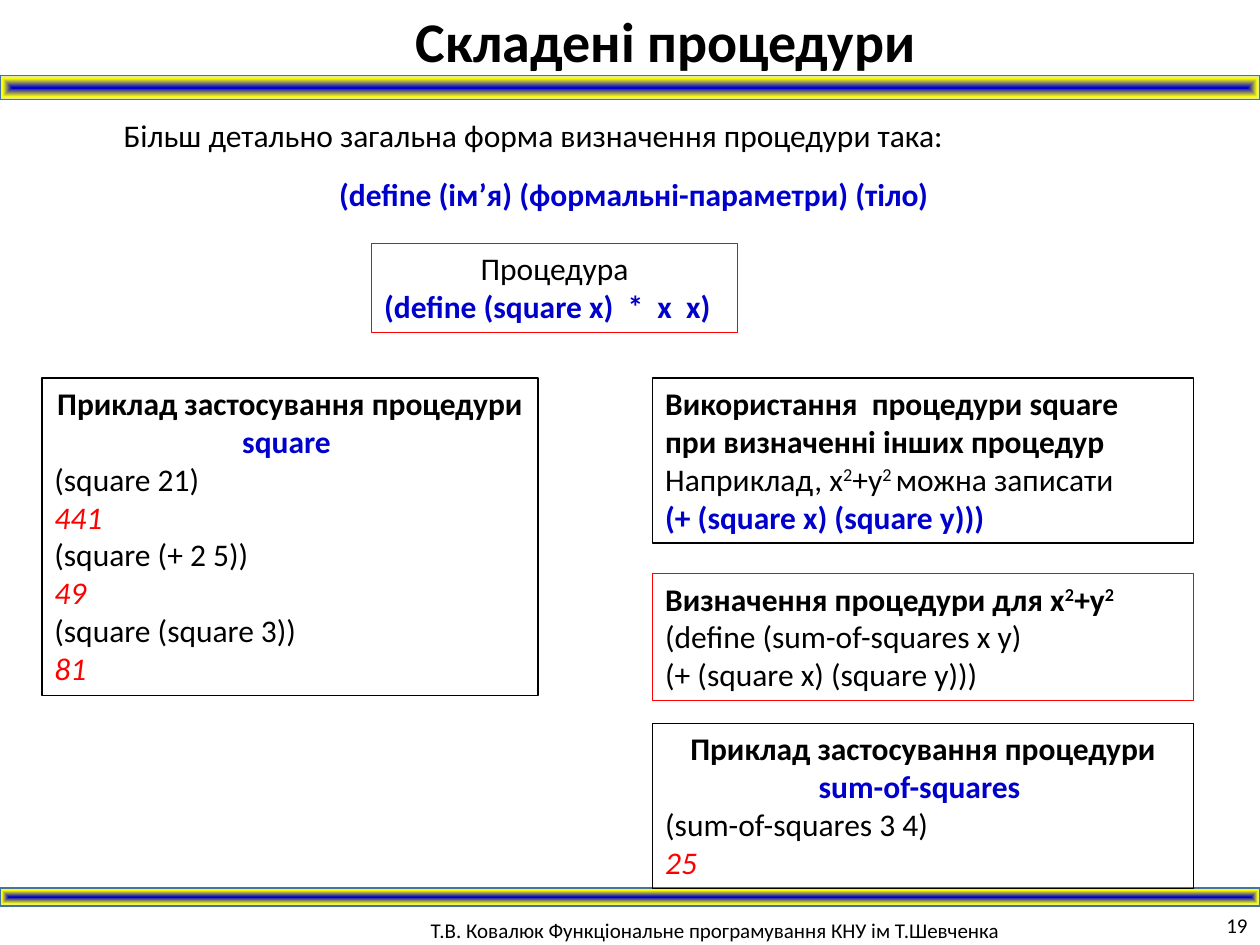
from lxml import etree
from pptx import Presentation
from pptx import util as u
from pptx.dml.color import RGBColor
from pptx.enum import shapes, text
from pptx.oxml import ns

BLACK = RGBColor(0x00, 0x00, 0x00)
BLUE = RGBColor(0x00, 0x00, 0xCC)
RED = RGBColor(0xFF, 0x00, 0x00)
YELLOW = RGBColor(0xFF, 0xFF, 0x00)
PALE = RGBColor(0xCE, 0xE1, 0xF2)
STEEL = RGBColor(0x43, 0x73, 0x9E)

PLAIN = {}
BOLD = {"bold": True}
KEY = {"bold": True, "color": BLUE}
RESULT = {"italic": True, "color": RED}
SUP = {"sup": True}
BOLD_SUP = {"bold": True, "sup": True}
CENTER, RIGHT = text.PP_ALIGN.CENTER, text.PP_ALIGN.RIGHT


def line(content, fmt=PLAIN, indent=0, **para):
    """One paragraph: a string, or a list of (string, format) runs."""
    runs = [(content, fmt)] if isinstance(content, str) else content
    return runs, indent, para


class Deck:
    font = "Calibri"
    size = 18

    def __init__(self, prs):
        self.slide = prs.slides.add_slide(prs.slide_layouts[5])

    def put_text(self, tf, lines, size=None, anchor=text.MSO_ANCHOR.TOP):
        frame = {"word_wrap": True, "vertical_anchor": anchor,
                 "auto_size": text.MSO_AUTO_SIZE.NONE}
        for name, value in frame.items():
            setattr(tf, name, value)
        for i, (runs, indent, para) in enumerate(lines):
            p = tf.add_paragraph() if i else tf.paragraphs[0]
            for name, value in {"alignment": text.PP_ALIGN.LEFT, **para}.items():
                setattr(p, name, value)
            if indent:
                p._p.get_or_add_pPr().set("marL", str(u.Pt(indent)))
            for content, fmt in runs:
                self.run(p, content, fmt, size or self.size)

    def run(self, p, content, fmt, size):
        r = p.add_run()
        r.text = content
        values = {"name": self.font, "size": u.Pt(size),
                  "bold": fmt.get("bold", False), "italic": fmt.get("italic", False)}
        for name, value in values.items():
            setattr(r.font, name, value)
        r.font.color.rgb = fmt.get("color", BLACK)
        if fmt.get("sup"):
            r._r.get_or_add_rPr().set("baseline", "30000")

    def title(self, content, at, size):
        sp = self.slide.shapes.title
        sp.left, sp.top, sp.width, sp.height = map(u.Pt, at)
        sp.text_frame.margin_right = 0
        self.put_text(sp.text_frame, [line(content, BOLD)], size)

    def label(self, at, lines, **options):
        sp = self.slide.shapes.add_textbox(*map(u.Pt, at))
        self.put_text(sp.text_frame, lines, **options)

    def rect(self, at, color, width):
        sp = self.slide.shapes.add_shape(shapes.MSO_SHAPE.RECTANGLE, *map(u.Pt, at))
        sp.shadow.inherit = False
        sp.line.color.rgb = color
        sp.line.width = u.Pt(width)
        return sp

    def box(self, at, lines, color=BLACK):
        sp = self.rect(at, color, 0.75)
        sp.fill.background()
        self.put_text(sp.text_frame, lines)

    def band(self, top, height):
        """Full-width bar shaded from a blue core to a yellow edge."""
        sp = self.rect((0, top, 720, height), STEEL, 1)
        sp.fill.gradient()
        grad = sp._element.spPr.find(ns.qn("a:gradFill"))
        for child in list(grad):
            grad.remove(child)
        stops = etree.SubElement(grad, ns.qn("a:gsLst"))
        for pos, color in ((0, BLUE), (77, YELLOW), (100, PALE)):
            stop = etree.SubElement(stops, ns.qn("a:gs"), pos=str(pos * 1000))
            etree.SubElement(stop, ns.qn("a:srgbClr"), val=str(color))
        shade = etree.SubElement(grad, ns.qn("a:path"))
        shade.set("path", "shape")
        etree.SubElement(shade, ns.qn("a:fillToRect"),
                         dict.fromkeys("ltrb", "50000"))


def main():
    prs = Presentation()
    prs.slide_width, prs.slide_height = u.Pt(720), u.Pt(540)
    s = Deck(prs)

    s.label((239, 520.5, 432, 23),
            [line("Т.В. Ковалюк Функціональне програмування КНУ ім Т.Шевченка")],
            size=12)
    s.band(43.2, 13.7)
    s.band(507.6, 10)
    s.label((670.3, 517, 49.7, 23), [line("19", alignment=RIGHT)],
            size=12, anchor=text.MSO_ANCHOR.MIDDLE)
    s.title("Складені процедури", (230.4, 0, 299.5, 46), 32)

    s.label((42.5, 62.6, 639.4, 64), [
        line("Більш детально загальна форма визначення процедури така:", indent=21),
        line("(define (ім’я) (формальні-параметри) (тіло)", KEY,
             alignment=CENTER, space_before=u.Pt(12.3)),
    ])
    s.box((212.4, 139, 209, 51), [
        line("Процедура", alignment=CENTER),
        line("(define (square x)  *  x  x)", KEY),
    ], RED)

    top = 216
    calls = (("(square 21)", "441"), ("(square (+ 2 5))", "49"),
             ("(square (square 3))", "81"))
    s.box((24, top, 283.5, 181.5), [
        line([("Приклад застосування процедури ", BOLD), ("square ", KEY)],
             alignment=CENTER),
        *(ln for call, value in calls for ln in (line(call), line(value, RESULT))),
    ])

    left, width = 373, 309
    s.box((left, top, width, 94.3), [
        line("Використання  процедури square", BOLD),
        line("при визначенні інших процедур", BOLD),
        line([("Наприклад, x", PLAIN), ("2", SUP), ("+y", PLAIN), ("2 ", SUP),
              ("можна записати", PLAIN)]),
        line("(+ (square x) (square y)))", KEY),
    ])
    s.box((left, 327.6, width, 72.7), [
        line([("Визначення процедури для x", BOLD), ("2", BOLD_SUP),
              ("+y", BOLD), ("2", BOLD_SUP)]),
        line("(define (sum-of-squares x y)"),
        line("(+ (square x) (square y)))"),
    ], RED)
    s.box((left, 413.3, width, 94.3), [
        line("Приклад застосування процедури", BOLD, alignment=CENTER),
        line("sum-of-squares ", KEY, alignment=CENTER),
        line("(sum-of-squares 3 4)"),
        line("25", RESULT),
    ])
    prs.save("out.pptx")


if __name__ == "__main__":
    main()
